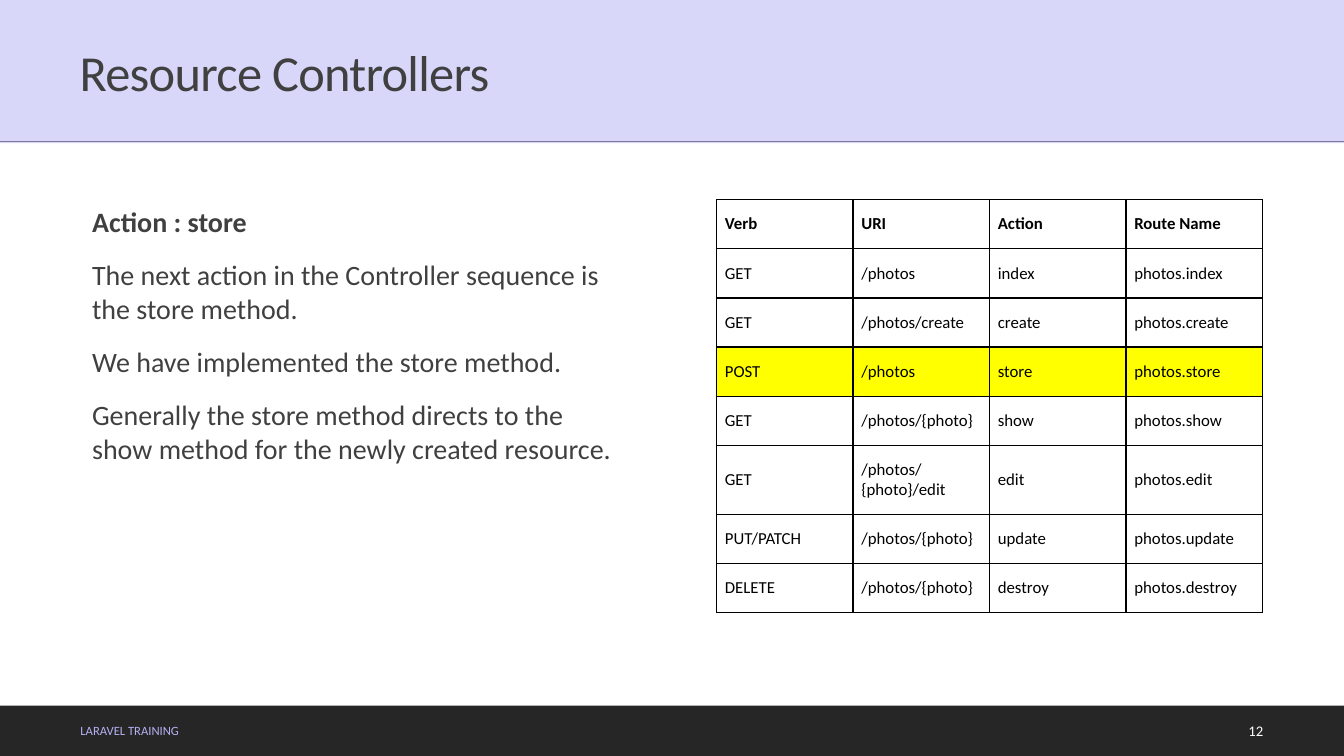
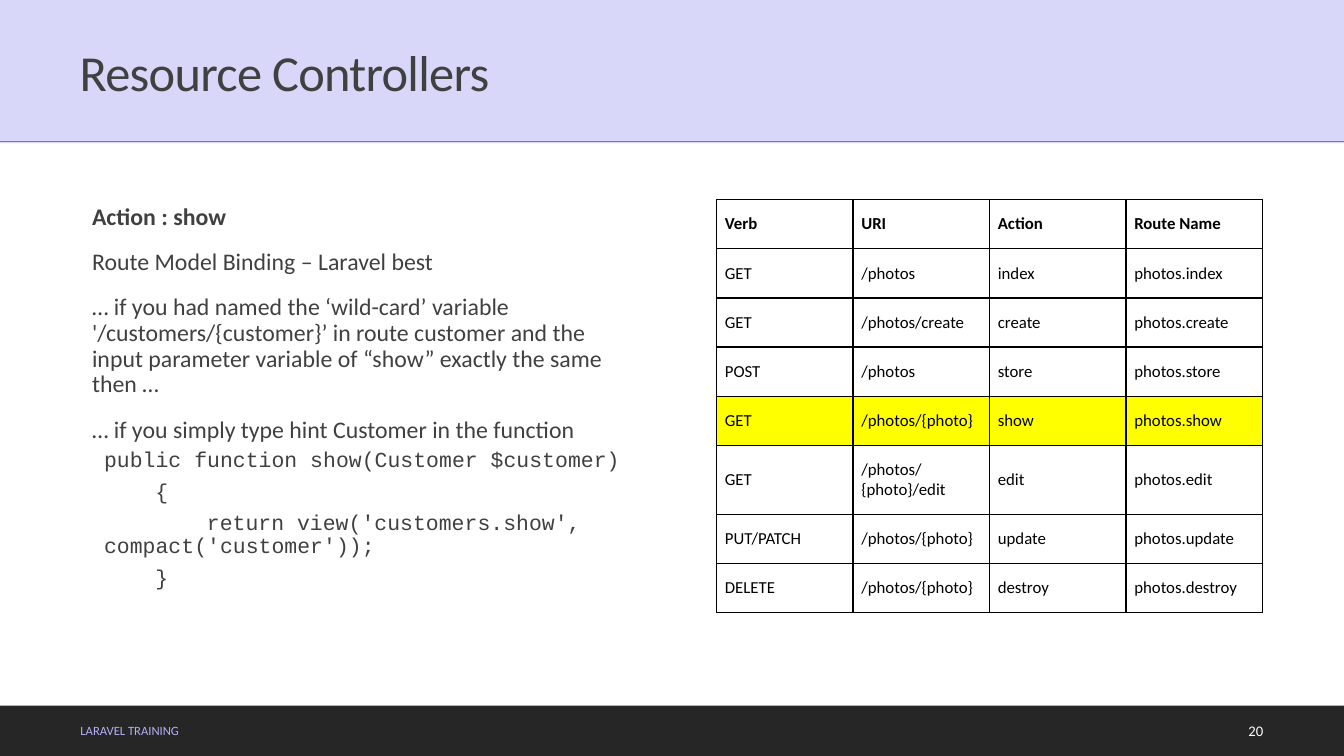
from lxml.etree import SubElement
from pptx import Presentation
from pptx.dml.color import RGBColor
from pptx.enum.shapes import MSO_CONNECTOR, MSO_SHAPE
from pptx.enum.text import MSO_ANCHOR, PP_ALIGN
from pptx.oxml import parse_xml
from pptx.oxml.ns import nsdecls, qn
from pptx.util import Pt

COLORS = {
    "text": "404040",
    "band": "B2B1F4",
    "footer": "262626",
    "white": "FFFFFF",
    "black": "000000",
    "highlight": "FFFF00",
}
PAGE_WIDTH, PAGE_HEIGHT = 960, 540
FOOTER_TOP = 504
CONTENT_TOP = 142.6
CODE_SIZE = 15.3
CODE_CHAR = CODE_SIZE * 0.6

HEADERS = ("Verb", "URI", "Action", "Route Name")
ROUTES = (
    ("GET", "/photos", "index"),
    ("GET", "/photos/create", "create"),
    ("POST", "/photos", "store"),
    ("GET", "/photos/{photo}", "show"),
    ("GET", "/photos/{photo}/edit", "edit"),
    ("PUT/PATCH", "/photos/{photo}", "update"),
    ("DELETE", "/photos/{photo}", "destroy"),
)


def color(name):
    return RGBColor.from_string(COLORS[name])


def add_text(frame, text, size=12, font="Calibri", fill="text", bold=False,
             align=PP_ALIGN.LEFT, line=1.0, before=0, after=0,
             left=0, first=0, tracking=0):
    para = frame.paragraphs[0]
    if para.runs:
        para = frame.add_paragraph()
    para.alignment = align
    para.line_spacing = line
    para.space_before, para.space_after = Pt(before), Pt(after)
    properties = para._p.get_or_add_pPr()
    properties.set("marL", str(Pt(left)))
    properties.set("indent", str(Pt(first)))
    span = para.add_run()
    span.text = text
    span.font.size, span.font.name, span.font.bold = Pt(size), font, bold
    span.font.color.rgb = color(fill)
    if tracking:
        span._r.get_or_add_rPr().set("spc", str(round(tracking * 100)))


class Slides:
    def __init__(self):
        self.deck = Presentation()
        self.deck.slide_width, self.deck.slide_height = Pt(PAGE_WIDTH), Pt(PAGE_HEIGHT)
        self.page = None

    def start(self, title, number):
        self.page = self.deck.slides.add_slide(self.deck.slide_layouts[6])
        self.band(FOOTER_TOP, PAGE_HEIGHT - FOOTER_TOP, "footer")
        self.rule(101)
        footer = self.text_box(50.4, 507.6, 537, 28.8, anchor=MSO_ANCHOR.MIDDLE)
        add_text(footer, "LARAVEL TRAINING", size=9, fill="band")
        corner = self.text_box(860.4, 507.6, 49, 28.8, anchor=MSO_ANCHOR.MIDDLE)
        add_text(corner, number, size=10.5, fill="white", align=PP_ALIGN.RIGHT)
        self.title(title)

    def band(self, top, height, fill, opacity=100):
        box = self.page.shapes.add_shape(
            MSO_SHAPE.RECTANGLE, 0, Pt(top), Pt(PAGE_WIDTH), Pt(height))
        box.shadow.inherit = False
        box.line.fill.background()
        box.fill.solid()
        box.fill.fore_color.rgb = color(fill)
        if opacity < 100:
            shade = box._element.spPr.find(".//" + qn("a:srgbClr"))
            SubElement(shade, qn("a:alpha")).set("val", str(opacity * 1000))
        return box

    def rule(self, top):
        line = self.page.shapes.add_connector(
            MSO_CONNECTOR.STRAIGHT, 0, Pt(top), Pt(PAGE_WIDTH), Pt(top))
        line.line.color.rgb = color("text")
        line.line.width = Pt(1)
        SubElement(line._element.spPr, qn("a:effectLst"))

    def title(self, text):
        frame = self.band(0, 102.2, "band", opacity=50).text_frame
        frame.word_wrap = True
        frame.vertical_anchor = MSO_ANCHOR.MIDDLE
        frame.margin_left, frame.margin_top = Pt(56.9), Pt(8.6)
        add_text(frame, text, size=36, line=0.9, tracking=-0.5)

    def text_box(self, left, top, width, height, anchor=MSO_ANCHOR.TOP, side=7.2):
        frame = self.page.shapes.add_textbox(
            Pt(left), Pt(top), Pt(width), Pt(height)).text_frame
        frame.word_wrap = True
        frame.vertical_anchor = anchor
        frame.margin_left = frame.margin_right = Pt(side)
        return frame

    def body(self, heading, paragraphs, size, line=1.0, code=()):
        frame = self.text_box(58.6, CONTENT_TOP, 390, 295, side=0)
        for position, text in enumerate((heading, *paragraphs)):
            add_text(frame, text, size=size, bold=position == 0,
                     line=line, before=12, after=2, left=7.2)
        for depth, text in code:
            add_text(frame, text, size=CODE_SIZE, font="Courier New", line=line,
                     before=2, after=4, left=15.8, first=depth * 4 * CODE_CHAR)

    def route_table(self, action):
        rows = [HEADERS] + [(*route, f"photos.{route[2]}") for route in ROUTES]
        table = self.page.shapes.add_table(
            len(rows), len(HEADERS), Pt(511.8), Pt(CONTENT_TOP), Pt(390), Pt(295)).table
        table.first_row = table.horz_banding = False
        for column in table.columns:
            column.width = Pt(97.5)
        for index, values in enumerate(rows):
            table.rows[index].height = Pt(49.3 if values[2] == "edit" else 35.1)
            fill = "highlight" if values[2] == action else "white"
            for cell, text in zip(table.rows[index].cells, values):
                self.cell(cell, text, fill, bold=index == 0)

    def cell(self, cell, text, fill, bold):
        cell.fill.solid()
        cell.fill.fore_color.rgb = color(fill)
        cell.vertical_anchor = MSO_ANCHOR.MIDDLE
        cell.margin_left = cell.margin_right = Pt(6)
        cell.margin_top = cell.margin_bottom = Pt(6)
        add_text(cell.text_frame, text, fill="black", bold=bold)
        for position, edge in enumerate(("lnL", "lnR", "lnT", "lnB")):
            border = parse_xml(
                f'<a:{edge} {nsdecls("a")} w="{Pt(1)}"><a:solidFill>'
                f'<a:srgbClr val="{COLORS["black"]}"/></a:solidFill></a:{edge}>')
            cell._tc.get_or_add_tcPr().insert(position, border)


def main():
    slides = Slides()

    slides.start("Resource Controllers", "12")
    slides.body("Action : store", (
        "The next action in the Controller sequence is the store method.",
        "We have implemented the store method.",
        "Generally the store method directs to the show method for the newly created resource.",
    ), size=20)
    slides.route_table("store")

    slides.start("Resource Controllers", "20")
    slides.body("Action : show", (
        "Route Model Binding – Laravel best",
        "… if you had named the ‘wild-card’ variable '/customers/{customer}’ in route "
        "customer and the input parameter variable of “show” exactly the same then …",
        "… if you simply type hint Customer in the function",
    ), size=17, line=0.9, code=(
        (0, "public function show(Customer $customer)"),
        (1, "{"),
        (2, "return view('customers.show', compact('customer'));"),
        (1, "}"),
    ))
    slides.route_table("show")

    slides.deck.save("out.pptx")


if __name__ == "__main__":
    main()
